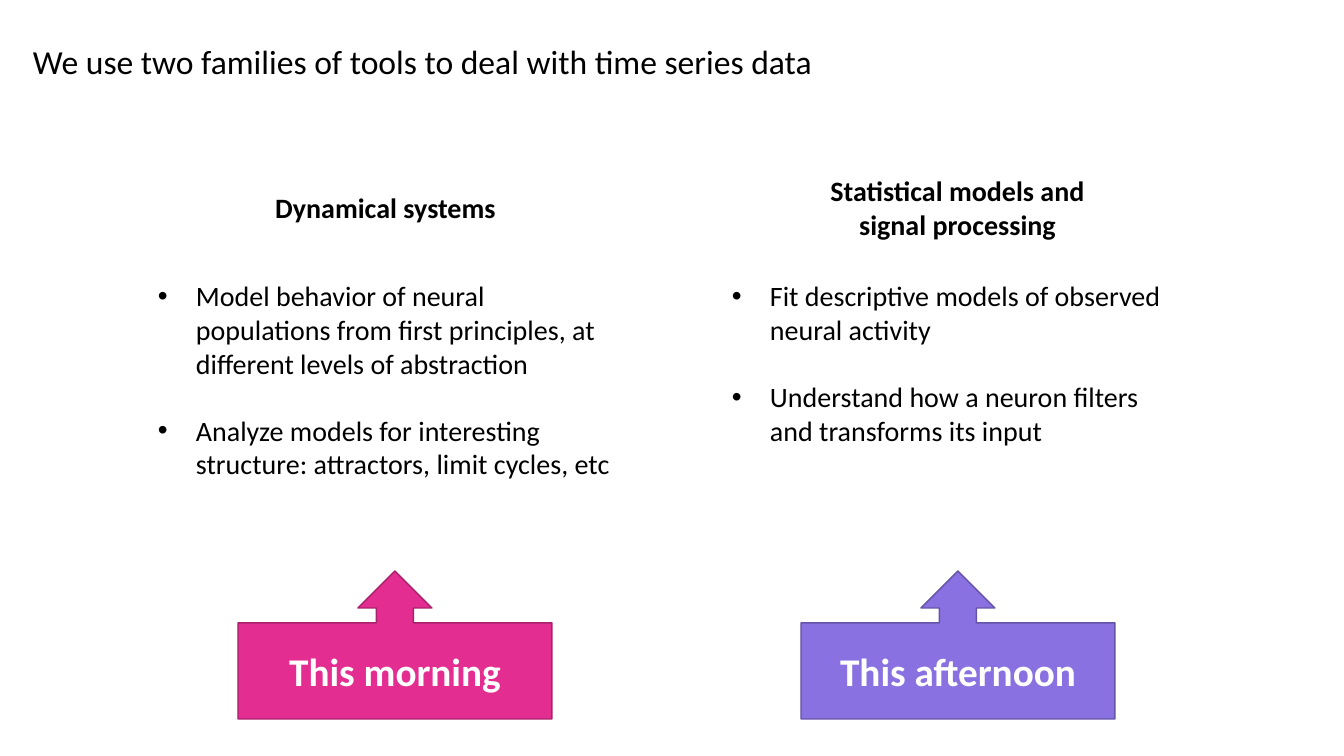
from dataclasses import dataclass

import pptx
import pptx.dml.color
import pptx.enum.shapes
import pptx.enum.text
import pptx.oxml.ns
import pptx.slide
import pptx.text.text
import pptx.util

PX = 914400 / 100.8
ALIGN = pptx.enum.text.PP_ALIGN
ANCHOR = pptx.enum.text.MSO_ANCHOR


@dataclass(frozen=True)
class Theme:
    font: str = "Calibri"
    ink: str = "000000"
    light: str = "FFFFFF"
    pink: str = "E32D91"
    pink_edge: str = "A8216B"
    violet: str = "8971E1"
    violet_edge: str = "6554A6"
    title: int = 24
    body: int = 20
    callout: int = 28
    edge: int = 1
    item_gap: int = 24


@dataclass(frozen=True)
class Box:
    x: int
    y: int
    w: int
    h: int


@dataclass(frozen=True)
class Family:
    heading: str
    heading_x: int
    points: tuple[str, ...]
    points_x: int
    session: str
    session_x: int
    fill: str
    edge: str


THEME = Theme()
FAMILIES = (
    Family("Dynamical systems", 238,
           ("Model behavior of neural populations from first principles, "
            "at different levels of abstraction",
            "Analyze models for interesting structure: attractors, limit cycles, etc"), 148,
           "This morning", 238, THEME.pink, THEME.pink_edge),
    Family("Statistical models and signal processing", 810,
           ("Fit descriptive models of observed neural activity",
            "Understand how a neuron filters and transforms its input"), 722,
           "This afternoon", 801, THEME.violet, THEME.violet_edge),
)


def px(n: int) -> pptx.util.Emu:
    return pptx.util.Emu(round(n * PX))


def place(box: Box) -> tuple[pptx.util.Emu, ...]:
    return px(box.x), px(box.y), px(box.w), px(box.h)


def rgb(value: str) -> pptx.dml.color.RGBColor:
    return pptx.dml.color.RGBColor.from_string(value)


def write(p: pptx.text.text._Paragraph, text: str, size: int,
          color: str = THEME.ink, bold: bool = False) -> None:
    r = p.add_run()
    r.text = text
    formats = {"name": THEME.font, "size": pptx.util.Pt(size), "bold": bold}
    for name, value in formats.items():
        setattr(r.font, name, value)
    r.font.color.rgb = rgb(color)


def add_box(s: pptx.slide.Slide, box: Box) -> pptx.text.text.TextFrame:
    tf = s.shapes.add_textbox(*place(box)).text_frame
    tf.word_wrap = True
    return tf


def set_bullet(p: pptx.text.text._Paragraph, indent: int) -> None:
    pPr = p._p.get_or_add_pPr()
    pPr.set("marL", str(px(indent)))
    pPr.set("indent", str(-px(indent)))
    for tag, key, value in (("a:buFont", "typeface", "Arial"), ("a:buChar", "char", "•")):
        pptx.oxml.ns.qn(tag)
        bullet = pptx.oxml.parse_xml(f'<{tag} {pptx.oxml.ns.nsdecls("a")} {key}="{value}"/>')
        pPr.append(bullet)


def add_heading(s: pptx.slide.Slide, family: Family) -> None:
    tf = add_box(s, Box(family.heading_x, 168, 295, 78))
    tf.vertical_anchor = ANCHOR.MIDDLE
    p = tf.paragraphs[0]
    p.alignment = ALIGN.CENTER
    write(p, family.heading, THEME.body, bold=True)


def add_points(s: pptx.slide.Slide, family: Family) -> None:
    tf = add_box(s, Box(family.points_x, 274, 475, 214))
    for i, point in enumerate(family.points):
        p = tf.add_paragraph() if i else tf.paragraphs[0]
        if i:
            p.space_before = pptx.util.Pt(THEME.item_gap)
        set_bullet(p, 38)
        write(p, point, THEME.body)


def add_session(s: pptx.slide.Slide, family: Family) -> None:
    """Add the callout that points up at its family of tools."""
    sp = s.shapes.add_shape(pptx.enum.shapes.MSO_SHAPE.UP_ARROW_CALLOUT,
                            *place(Box(family.session_x, 571, 314, 148)))
    sp.shadow.inherit = False
    sp.fill.solid()
    sp.fill.fore_color.rgb = rgb(family.fill)
    sp.line.color.rgb = rgb(family.edge)
    sp.line.width = pptx.util.Pt(THEME.edge)
    tf = sp.text_frame
    tf.vertical_anchor = ANCHOR.MIDDLE
    p = tf.paragraphs[0]
    p.alignment = ALIGN.CENTER
    write(p, family.session, THEME.callout, THEME.light, bold=True)


def main() -> None:
    prs = pptx.Presentation()
    prs.slide_width, prs.slide_height = px(1344), px(756)
    s = prs.slides.add_slide(prs.slide_layouts[6])
    title = add_box(s, Box(23, 36, 1297, 50))
    write(title.paragraphs[0], "We use two families of tools to deal with time series data",
          THEME.title)
    for family in FAMILIES:
        add_heading(s, family)
        add_points(s, family)
        add_session(s, family)
    prs.save("out.pptx")


if __name__ == "__main__":
    main()
